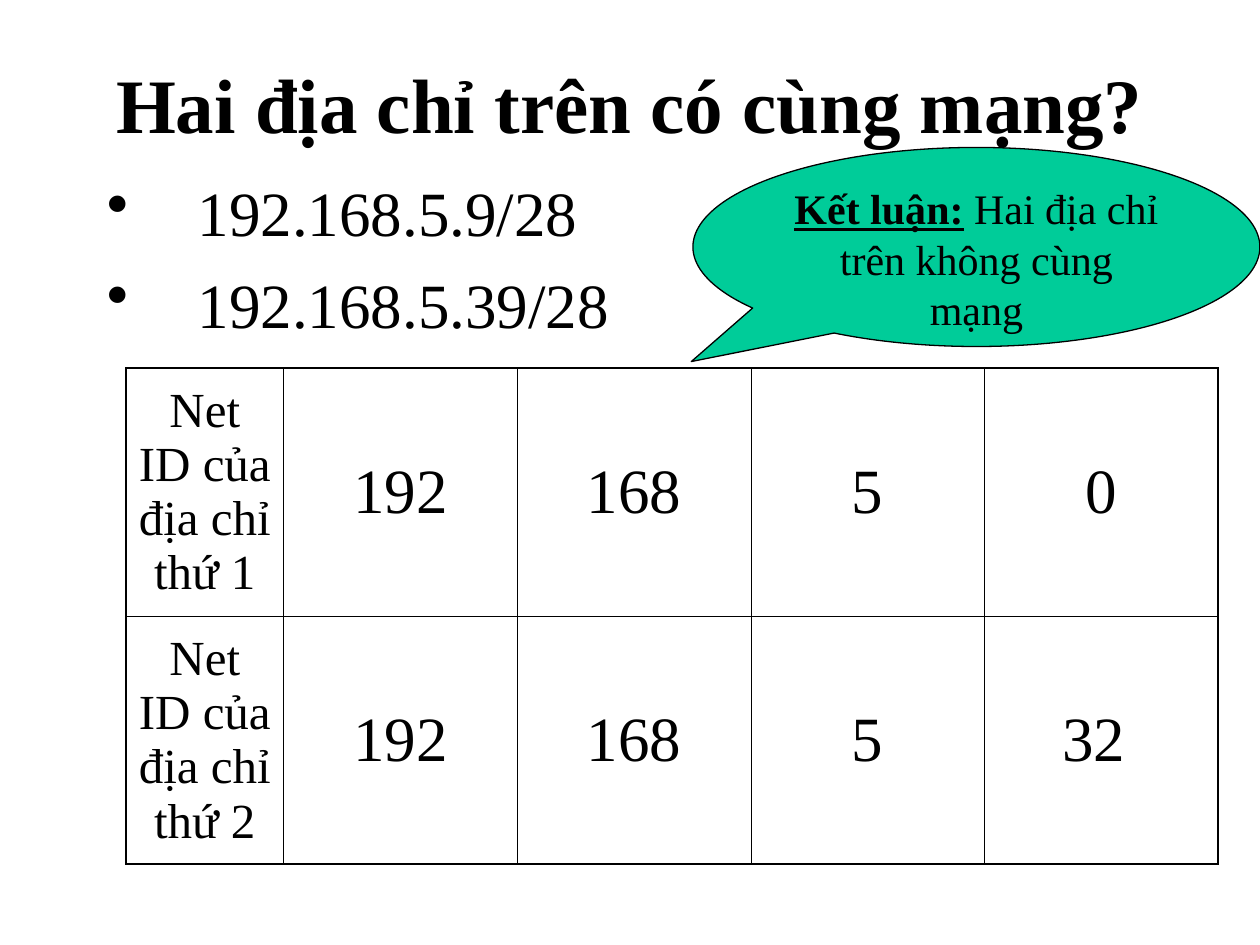
import pptx
import pptx.dml.color
import pptx.enum.shapes
import pptx.enum.text
import pptx.oxml.ns
import pptx.util
import lxml.etree

Inches = pptx.util.Inches
Pt = pptx.util.Pt
CENTER = pptx.enum.text.PP_ALIGN.CENTER
MIDDLE = pptx.enum.text.MSO_ANCHOR.MIDDLE


def color(hex_code):
    return pptx.dml.color.RGBColor.from_string(hex_code)


def style(span, size, bold=False, underline=False):
    span.font.name = "Times New Roman"
    span.font.size = Pt(size)
    span.font.bold = bold
    span.font.underline = underline
    span.font.color.rgb = color("000000")


deck = pptx.Presentation()
deck.slide_width = Inches(10)
deck.slide_height = Inches(7.5)
page = deck.slides.add_slide(deck.slide_layouts[6])

# Addresses
addresses = page.shapes.add_textbox(Inches(0.75), Inches(1.33), Inches(8.5), Inches(1.58))
addresses.text_frame.word_wrap = True
addresses.text_frame.text = "192.168.5.9/28\n192.168.5.39/28"
for index, para in enumerate(addresses.text_frame.paragraphs):
    properties = para._p.get_or_add_pPr()
    properties.set("marL", str(Inches(0.72)))
    properties.set("indent", str(Inches(-0.72)))
    bullet = lxml.etree.SubElement(properties, pptx.oxml.ns.qn("a:buChar"))
    bullet.set("char", "•")
    if index > 0:
        para.space_before = Pt(9)
    style(para.runs[0], 36)

# Network ID table
rows = [
    ["Net ID của địa chỉ thứ 1", "192", "168", "5", "0"],
    ["Net ID của địa chỉ thứ 2", "192", "168", "5", "32 "],
]
table_width, label_width = 8.67, 1.25
last_row, last_column = len(rows) - 1, len(rows[0]) - 1
table = page.shapes.add_table(
    len(rows), len(rows[0]), Inches(1), Inches(2.92), Inches(table_width), Inches(3.94)
).table
for index, column in enumerate(table.columns):
    column.width = Inches(label_width if index == 0 else (table_width - label_width) / last_column)
for row_index, texts in enumerate(rows):
    table.rows[row_index].height = Inches(1.97)
    for column_index, text in enumerate(texts):
        cell = table.cell(row_index, column_index)
        cell.text_frame.text = text
        cell.vertical_anchor = MIDDLE
        para = cell.text_frame.paragraphs[0]
        para.alignment = CENTER
        style(para.runs[0], 28 if column_index == 0 else 36)
        outer_edges = {
            "lnL": column_index == 0,
            "lnR": column_index == last_column,
            "lnT": row_index == 0,
            "lnB": row_index == last_row,
        }
        for edge, is_outer in outer_edges.items():
            border = lxml.etree.SubElement(cell._tc.get_or_add_tcPr(), pptx.oxml.ns.qn("a:" + edge))
            border.set("w", str(Pt(1.08 if is_outer else 0.45)))
            border_fill = lxml.etree.SubElement(border, pptx.oxml.ns.qn("a:solidFill"))
            lxml.etree.SubElement(border_fill, pptx.oxml.ns.qn("a:srgbClr")).set("val", "000000")
        cell.fill.background()

# Title
title = page.shapes.add_textbox(Inches(0.75), Inches(0.17), Inches(8.5), Inches(1.25))
title.text_frame.word_wrap = True
title.text_frame.vertical_anchor = MIDDLE
para = title.text_frame.paragraphs[0]
para.alignment = CENTER
for text, size, bold in [("Hai địa chỉ trên có cùng mạng?", 44, True), (" ", 48, True)]:
    span = para.add_run()
    span.text = text
    style(span, size, bold)

# Conclusion callout
callout = page.shapes.add_shape(
    pptx.enum.shapes.MSO_SHAPE.OVAL_CALLOUT, Inches(5.5), Inches(1.17), Inches(4.5), Inches(1.58)
)
callout.adjustments[0] = -0.503
callout.adjustments[1] = 0.576
callout.shadow.inherit = False
callout.fill.solid()
callout.fill.fore_color.rgb = color("00CC99")
callout.line.color.rgb = color("000000")
callout.line.width = Pt(0.75)
callout.text_frame.word_wrap = True
callout.text_frame.vertical_anchor = pptx.enum.text.MSO_ANCHOR.TOP
para = callout.text_frame.paragraphs[0]
para.alignment = CENTER
for text, emphasis in [("Kết luận:", True), (" Hai địa chỉ trên không cùng mạng", False)]:
    span = para.add_run()
    span.text = text
    style(span, 24, emphasis, emphasis)

deck.save("out.pptx")
